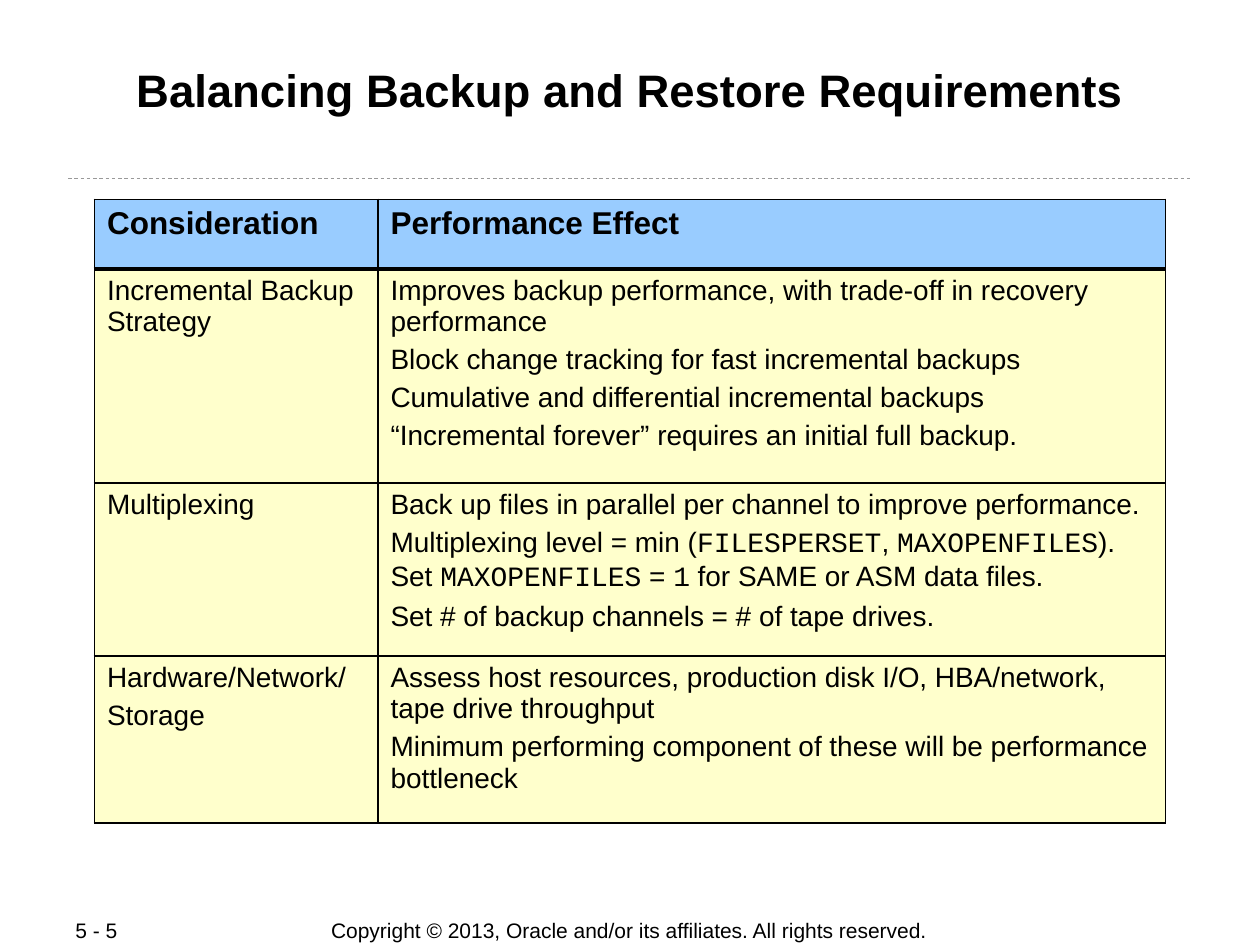
from lxml.etree import SubElement
from pptx import Presentation
from pptx.dml.color import RGBColor
from pptx.enum.dml import MSO_LINE
from pptx.enum.shapes import MSO_CONNECTOR
from pptx.enum.text import MSO_ANCHOR, MSO_AUTO_SIZE, PP_ALIGN
from pptx.oxml.ns import qn
from pptx.util import Pt

COLORS = {"text": "000000", "rule": "999999", "header": "99CCFF", "body": "FFFFCC"}
FONT, MONO = "Arial", "Courier New"
THIN, THICK = 1.08, 2.21

# Backticks enclose monospaced words.
ROWS = [
    (["Consideration"], ["Performance Effect"]),
    (["Incremental Backup Strategy"],
     ["Improves backup performance, with trade-off in recovery performance",
      "Block change tracking for fast incremental backups",
      "Cumulative and differential incremental backups",
      "“Incremental forever” requires an initial full backup."]),
    (["Multiplexing"],
     ["Back up files in parallel per channel to improve performance.",
      "Multiplexing level = min (`FILESPERSET`, `MAXOPENFILES`). "
      "Set `MAXOPENFILES` = `1` for SAME or ASM data files.",
      "Set # of backup channels = # of tape drives."]),
    (["Hardware/Network/", "Storage"],
     ["Assess host resources, production disk I/O, HBA/network, tape drive throughput",
      "Minimum performing component of these will be performance bottleneck"]),
]


def rgb(name):
    return RGBColor.from_string(COLORS[name])


class SlideBuilder:
    def __init__(self, s):
        self.s = s

    def style(self, r, size, bold=False, name=FONT):
        r.font.name = name
        r.font.size = Pt(size)
        r.font.bold = bold
        r.font.color.rgb = rgb("text")

    def title(self, text, x, y, w, h):
        sp = self.s.shapes.title
        sp.left, sp.top, sp.width, sp.height = Pt(x), Pt(y), Pt(w), Pt(h)
        tf = sp.text_frame
        tf.text = text
        tf.auto_size = MSO_AUTO_SIZE.NONE
        tf.vertical_anchor = MSO_ANCHOR.TOP
        tf.margin_left = tf.margin_right = tf.margin_top = tf.margin_bottom = Pt(0.72)
        p = tf.paragraphs[0]
        p.alignment = PP_ALIGN.CENTER
        self.style(p.runs[0], 26, bold=True)

    def label(self, text, x, y, w, h, align):
        tf = self.s.shapes.add_textbox(Pt(x), Pt(y), Pt(w), Pt(h)).text_frame
        tf.text = text
        tf.word_wrap = False
        tf.vertical_anchor = MSO_ANCHOR.MIDDLE
        p = tf.paragraphs[0]
        p.alignment = align
        self.style(p.runs[0], 12)

    def dashed_rule(self, x1, x2, y):
        line = self.s.shapes.add_connector(
            MSO_CONNECTOR.STRAIGHT, Pt(x1), Pt(y), Pt(x2), Pt(y))
        line.line.color.rgb = rgb("rule")
        line.line.width = Pt(0.5)
        line.line.dash_style = MSO_LINE.DASH
        SubElement(line._element.spPr, qn("a:effectLst"))

    def borders(self, cell, top, bottom):
        tcPr = cell._tc.get_or_add_tcPr()
        for side, width in (("L", THIN), ("R", THIN), ("T", top), ("B", bottom)):
            ln = SubElement(tcPr, qn(f"a:ln{side}"), w=str(int(Pt(width))))
            fill = SubElement(ln, qn("a:solidFill"))
            SubElement(fill, qn("a:srgbClr"), val=COLORS["text"])

    def cell(self, cell, lines, header):
        tf = cell.text_frame
        for i, line in enumerate(lines):
            p = tf.add_paragraph() if i else tf.paragraphs[0]
            if i:
                p.space_before = Pt(4)
            for j, part in enumerate(line.split("`")):
                r = p.add_run()
                r.text = part
                self.style(r, 18 if header else 16, header, MONO if j % 2 else FONT)

    def table(self, rows, x, y, widths, heights):
        table = self.s.shapes.add_table(
            len(rows), len(widths), Pt(x), Pt(y), Pt(sum(widths)), Pt(sum(heights))).table
        for column, width in zip(table.columns, widths):
            column.width = Pt(width)
        for i, (row, height) in enumerate(zip(rows, heights)):
            table.rows[i].height = Pt(height)
            for j, lines in enumerate(row):
                cell = table.cell(i, j)
                self.cell(cell, lines, header=i == 0)
                self.borders(cell, THICK if i == 1 else THIN, THICK if i == 0 else THIN)
                cell.fill.solid()
                cell.fill.fore_color.rgb = rgb("body" if i else "header")


def main():
    prs = Presentation()
    prs.slide_width, prs.slide_height = Pt(720), Pt(540)
    b = SlideBuilder(prs.slides.add_slide(prs.slide_layouts[5]))
    b.label("Copyright © 2013, Oracle and/or its affiliates. All rights reserved.",
            169.6, 524.2, 380, 15, PP_ALIGN.CENTER)
    b.dashed_rule(38.9, 681.1, 102.2)
    b.label("5 - 5", 36, 524.2, 76.3, 15, PP_ALIGN.LEFT)
    b.title("Balancing Backup and Restore Requirements", 48, 34.6, 624, 69)
    b.table(ROWS, 54, 114, [162, 450], [39.6, 122.4, 99, 95.4])
    prs.save("out.pptx")


if __name__ == "__main__":
    main()
